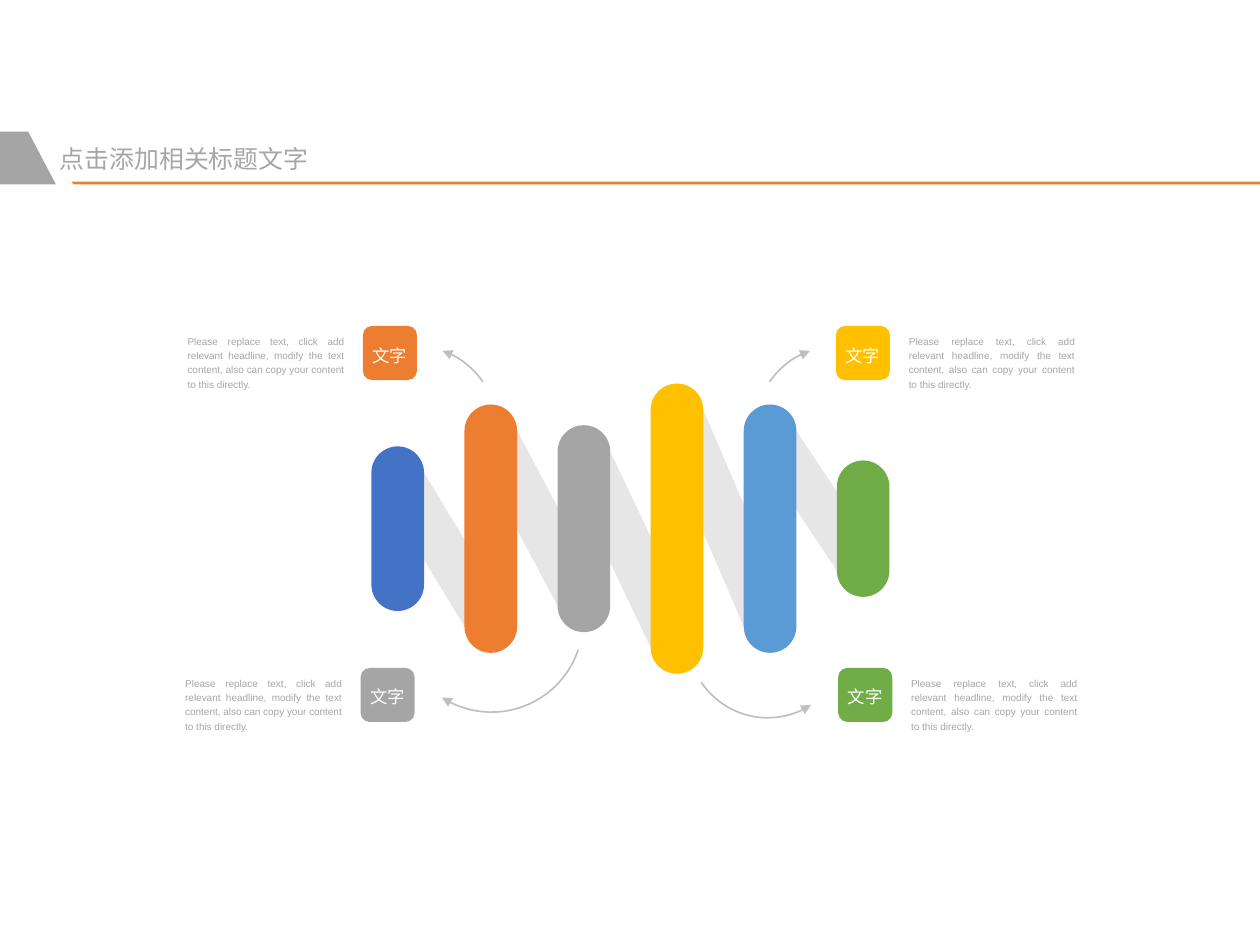
from dataclasses import dataclass

from lxml.etree import SubElement
from pptx import Presentation
from pptx.dml.color import RGBColor
from pptx.enum.shapes import MSO_SHAPE
from pptx.enum.text import MSO_ANCHOR, MSO_AUTO_SIZE, PP_ALIGN
from pptx.oxml.ns import qn
from pptx.shapes.autoshape import Shape
from pptx.slide import Slide
from pptx.text.text import TextFrame
from pptx.util import Cm, Pt

COLORS = {
    "blue": "4472C4",
    "orange": "ED7D31",
    "gray": "A5A5A5",
    "yellow": "FFC000",
    "sky": "5B9BD5",
    "green": "70AD47",
    "band": "E7E6E6",
    "text": "A6A6A6",
    "arrow": "BFBFBF",
    "white": "FFFFFF",
}
FONT = "Arial"
TITLE = "点击添加相关标题文字"
TILE_LABEL = "文字"
BODY = ("Please replace text, click add relevant headline, modify the text "
        "content, also can copy your content to this directly.")

BAR_WIDTH, BAR_PITCH = 1.12, 1.98
FIRST_BAR_X, BAR_CENTER_Y = 8.46, 11.24
TILE_SIZE = 1.15


@dataclass
class Bar:
    color: str
    height: float


@dataclass
class Callout:
    color: str
    x: float
    y: float
    text_dx: float
    text_width: float


@dataclass
class ArcArrow:
    x: float
    y: float
    size: float
    rotation: float
    start: float
    end: float
    flip_h: bool = False
    flip_v: bool = False


BARS = [
    Bar("blue", 3.5),
    Bar("orange", 5.28),
    Bar("gray", 4.4),
    Bar("yellow", 6.17),
    Bar("sky", 5.28),
    Bar("green", 2.9),
]
CALLOUTS = [
    Callout("orange", 7.72, 6.93, -3.73, 3.33),
    Callout("gray", 7.67, 14.2, -3.73, 3.33),
    Callout("yellow", 17.78, 6.93, 1.55, 3.53),
    Callout("green", 17.83, 14.2, 1.55, 3.53),
]
ARROWS = [
    ArcArrow(14.63, 11.86, 3.4, 249.6, 170.14, 7.46, flip_h=True),
    ArcArrow(16.08, 7.37, 3.4, 110.4, 170.14, 192.43, flip_h=True, flip_v=True),
    ArcArrow(8.51, 11.25, 3.89, 110.4, 160.87, 7.46),
    ArcArrow(7.16, 7.37, 3.4, 249.6, 170.14, 192.43, flip_v=True),
]


def rgb(color: str) -> RGBColor:
    return RGBColor.from_string(COLORS[color])


def paint(sp: Shape, color: str) -> None:
    sp.shadow.inherit = False
    sp.fill.solid()
    sp.fill.fore_color.rgb = rgb(color)
    sp.line.fill.background()


def write(tf: TextFrame, text: str, size: float, color: str,
          align: PP_ALIGN, spacing: float, anchor: MSO_ANCHOR) -> None:
    tf.margin_left = tf.margin_right = tf.margin_top = tf.margin_bottom = 0
    tf.word_wrap = True
    tf.vertical_anchor = anchor
    p = tf.paragraphs[0]
    p.alignment = align
    p.line_spacing = spacing
    p.space_before = Pt(0)
    r = p.add_run()
    r.text = text
    r.font.size = Pt(size)
    r.font.name = FONT
    r.font.color.rgb = rgb(color)


def add_polygon(s: Slide, points: list[tuple[float, float]], color: str) -> None:
    start, *rest = [(Cm(x), Cm(y)) for x, y in points]
    builder = s.shapes.build_freeform(*start)
    builder.add_line_segments(rest, close=True)
    paint(builder.convert_to_shape(), color)


def add_round_rect(s: Slide, x: float, y: float, width: float, height: float,
                   radius: float, color: str) -> Shape:
    sp = s.shapes.add_shape(MSO_SHAPE.ROUNDED_RECTANGLE,
                            Cm(x), Cm(y), Cm(width), Cm(height))
    sp.adjustments[0] = radius
    paint(sp, color)
    return sp


def add_header(s: Slide) -> None:
    add_polygon(s, [(1.52, 3.86), (26.8, 3.86), (26.8, 3.92), (1.57, 3.92)], "orange")
    add_polygon(s, [(0, 2.8), (0.6, 2.8), (1.19, 3.92), (0, 3.92)], "gray")
    title = s.shapes.title
    title.left, title.top, title.width, title.height = Cm(1.27), Cm(3.05), Cm(6.4), Cm(0.64)
    title.text_frame.auto_size = MSO_AUTO_SIZE.NONE
    write(title.text_frame, TITLE, 15, "text", PP_ALIGN.LEFT, 1.0, MSO_ANCHOR.TOP)


def add_zigzag(s: Slide) -> None:
    """Draw slanted bands from each bar's top to the next one's bottom, then the bars."""
    radius = BAR_WIDTH / 2
    lefts = [FIRST_BAR_X - radius + i * BAR_PITCH for i in range(len(BARS))]
    for i, (bar, following) in enumerate(zip(BARS, BARS[1:])):
        top = BAR_CENTER_Y - bar.height / 2 + radius
        bottom = BAR_CENTER_Y + following.height / 2 - radius
        x, next_x = lefts[i], lefts[i + 1]
        add_polygon(s, [(x, top), (x + BAR_WIDTH, top),
                        (next_x + BAR_WIDTH, bottom), (next_x, bottom)], "band")
    for x, bar in zip(lefts, BARS):
        add_round_rect(s, x, BAR_CENTER_Y - bar.height / 2,
                       BAR_WIDTH, bar.height, 0.5, bar.color)


def add_callout(s: Slide, callout: Callout) -> None:
    tile = add_round_rect(s, callout.x, callout.y, TILE_SIZE, TILE_SIZE, 0.17, callout.color)
    write(tile.text_frame, TILE_LABEL, 10.5, "white", PP_ALIGN.CENTER, 1.2, MSO_ANCHOR.MIDDLE)
    box = s.shapes.add_textbox(Cm(callout.x + callout.text_dx), Cm(callout.y + 0.15),
                               Cm(callout.text_width), Cm(1.19))
    box.text_frame.auto_size = MSO_AUTO_SIZE.SHAPE_TO_FIT_TEXT
    write(box.text_frame, BODY, 6, "text", PP_ALIGN.JUSTIFY, 1.2, MSO_ANCHOR.TOP)


def add_arrow(s: Slide, arrow: ArcArrow) -> None:
    sp = s.shapes.add_shape(MSO_SHAPE.ARC, Cm(arrow.x), Cm(arrow.y),
                            Cm(arrow.size), Cm(arrow.size))
    sp.shadow.inherit = False
    sp.adjustments[0] = arrow.start
    sp.adjustments[1] = arrow.end
    sp.rotation = arrow.rotation
    sp.fill.background()
    sp.line.color.rgb = rgb("arrow")
    sp.line.width = Pt(1)
    spPr = sp._element.spPr
    xfrm = spPr.find(qn("a:xfrm"))
    if arrow.flip_h:
        xfrm.set("flipH", "1")
    if arrow.flip_v:
        xfrm.set("flipV", "1")
    SubElement(spPr.find(qn("a:ln")), qn("a:tailEnd"), type="triangle")


def main() -> None:
    prs = Presentation()
    prs.slide_width, prs.slide_height = Cm(26.8), Cm(20.09)
    s = prs.slides.add_slide(prs.slide_layouts[5])
    add_header(s)
    add_zigzag(s)
    for callout in CALLOUTS:
        add_callout(s, callout)
    for arrow in ARROWS:
        add_arrow(s, arrow)
    prs.save("out.pptx")


if __name__ == "__main__":
    main()
